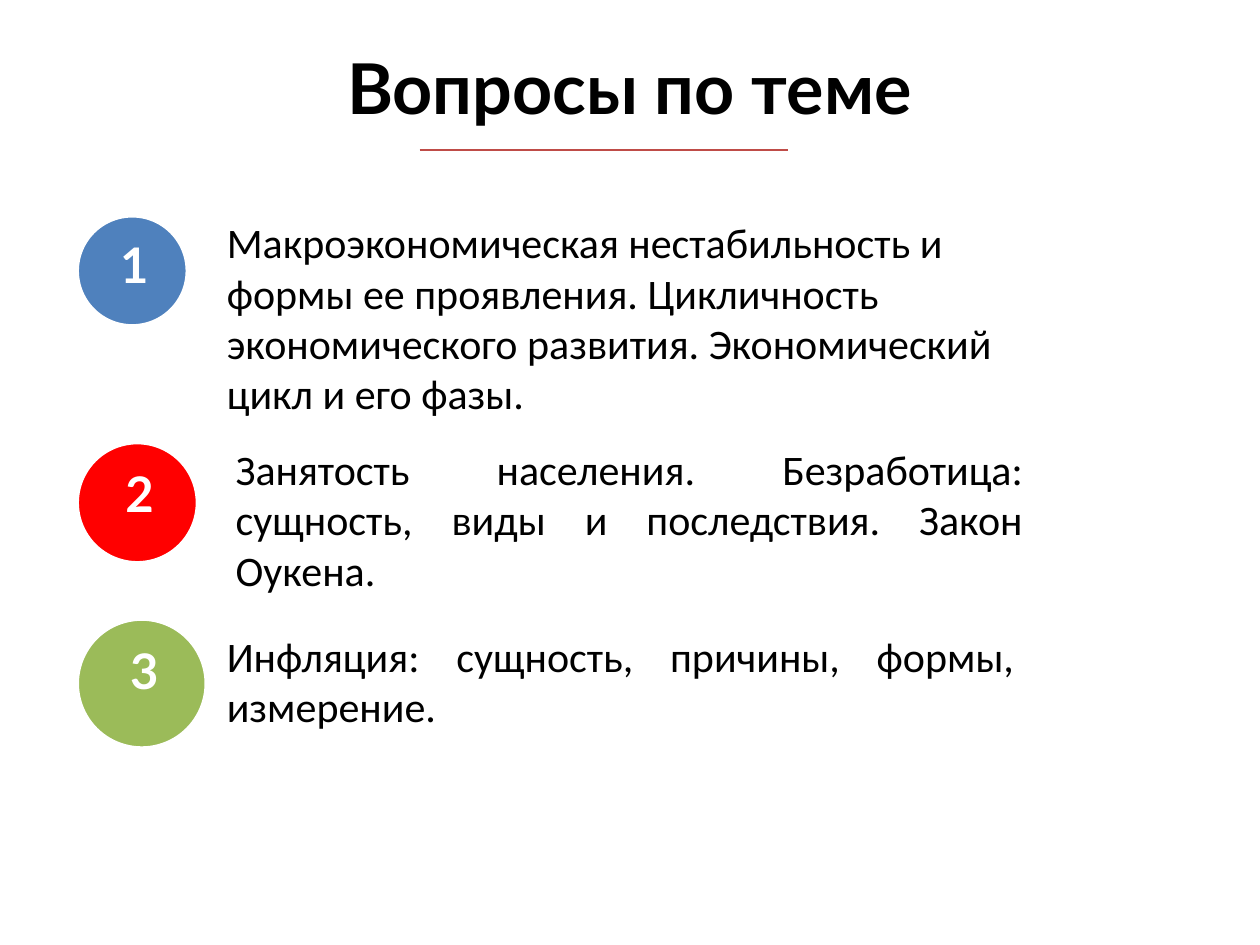
import pptx
import pptx.util
import pptx.dml.color
import pptx.enum.shapes
import pptx.enum.text
import lxml.etree

ALIGN = pptx.enum.text.PP_ALIGN
ANCHOR = pptx.enum.text.MSO_ANCHOR

deck = pptx.Presentation()
deck.slide_width = pptx.util.Inches(10)
deck.slide_height = pptx.util.Inches(7.5)
CELL = deck.slide_width / 100  # square grid: 100 columns by 75 rows

# colour, badge top, badge size, text left, text top, text rows, align, wording
TOPICS = [
    ("4F81BD", 17.2, 8.6, 18, 17.2, 16.2, ALIGN.LEFT,
     "Макроэкономическая нестабильность и формы ее проявления. "
     "Цикличность экономического развития. Экономический цикл и его фазы."),
    ("FF0000", 35.2, 9.4, 18.7, 35.2, 12.1, ALIGN.JUSTIFY,
     "Занятость населения. Безработица: сущность, виды и последствия. "
     "Закон Оукена."),
    ("9BBB59", 49.2, 10.1, 18, 50, 8.1, ALIGN.JUSTIFY,
     "Инфляция: сущность, причины, формы, измерение."),
]


def grid(*cells):
    return [round(n * CELL) for n in cells]


def color(code):
    return pptx.dml.color.RGBColor.from_string(code)


def label(shapes, box, text, font, size, hue="000000", bold=False,
          align=ALIGN.CENTER, anchor=ANCHOR.TOP):
    frame = shapes.add_textbox(*grid(*box)).text_frame
    frame.word_wrap = True
    frame.vertical_anchor = anchor
    frame.margin_left = frame.margin_right = 0
    frame.margin_top = frame.margin_bottom = 0
    para = frame.paragraphs[0]
    para.alignment = align
    run = para.add_run()
    run.text = text
    run.font.name = font
    run.font.size = pptx.util.Pt(size)
    run.font.bold = bold
    run.font.color.rgb = color(hue)


def header(shapes, box):
    """Title with a thin rule below it."""
    left, top, width, height = box
    label(shapes, box, "Вопросы по теме", "Lato", 40, bold=True,
          anchor=ANCHOR.MIDDLE)
    start, y = left + 10, top + height + 1.2
    rule = shapes.add_connector(pptx.enum.shapes.MSO_CONNECTOR.STRAIGHT,
                                *grid(start, y, start + 29.2, y))
    rule.line.color.rgb = color("BF4C48")
    rule.line.width = pptx.util.Pt(0.75)
    props = rule._element.spPr
    lxml.etree.SubElement(props, pptx.oxml.ns.qn("a:effectLst"))


def badge(shapes, box, number, hue):
    """Numbered circle, grouped with its digit."""
    left, top, size = box
    group = shapes.add_group_shape().shapes
    disc = group.add_shape(pptx.enum.shapes.MSO_SHAPE.OVAL,
                           *grid(left, top, size, size))
    disc.shadow.inherit = False
    disc.fill.solid()
    disc.fill.fore_color.rgb = color(hue)
    disc.line.color.rgb = color("FFFFFF")
    disc.line.width = pptx.util.Pt(1)
    digit = (left + 0.125 * size, top + 0.165 * size, 0.79 * size, 0.59 * size)
    label(group, digit, str(number), "Lato", 28, "FFFFFF", True)


def topics(shapes, left, width):
    for number, topic in enumerate(TOPICS, 1):
        hue, top, size, x, y, rows, align, text = topic
        badge(shapes, (left, top, size), number, hue)
        label(shapes, (x, y, width, rows), text, "Calibri", 24, align=align)


def main():
    shapes = deck.slides.add_slide(deck.slide_layouts[6]).shapes
    header(shapes, (23.3, 3.1, 53.3, 7.6))
    topics(shapes, 6.2, 62.5)
    deck.save("out.pptx")


if __name__ == "__main__":
    main()
